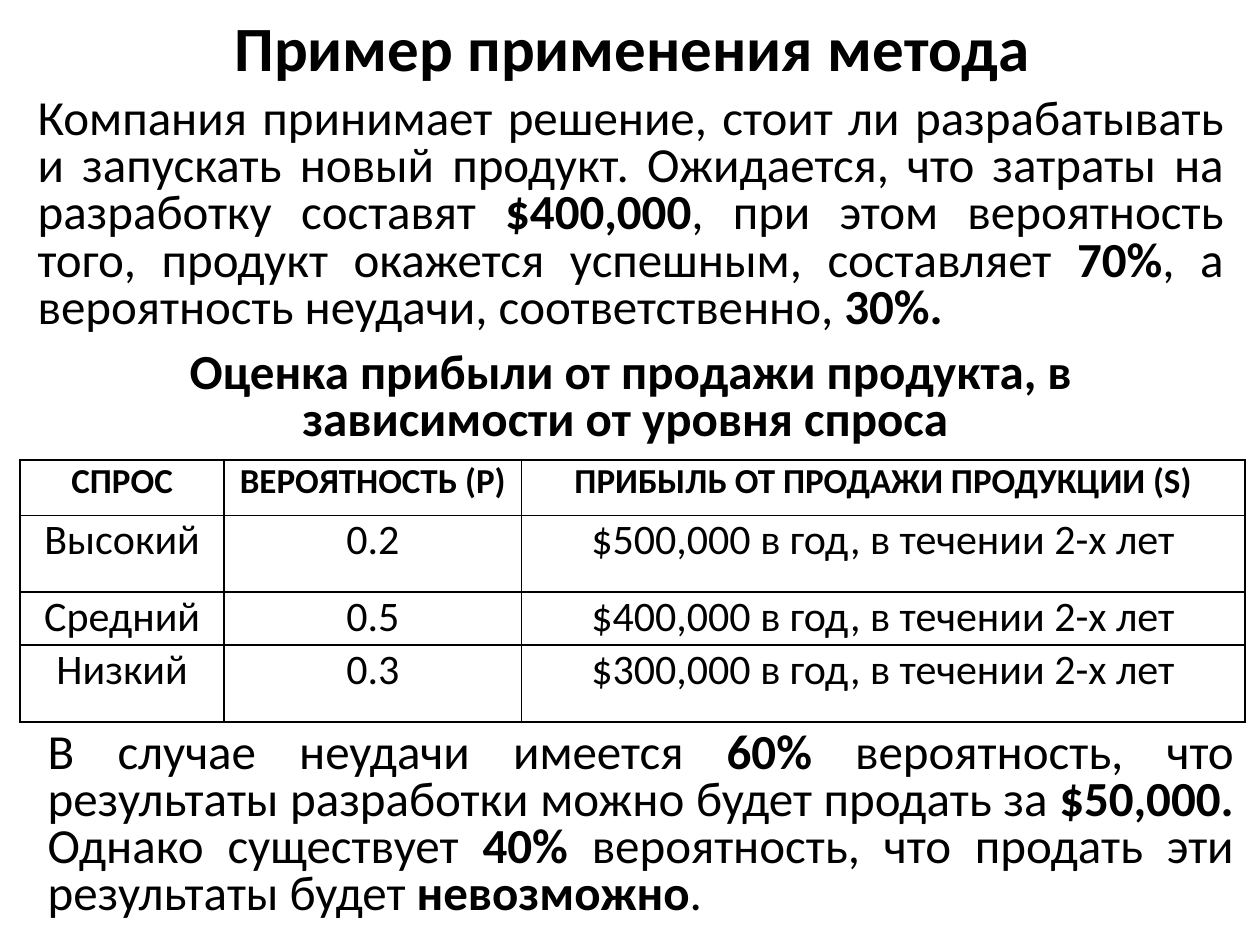
import dataclasses

import lxml.etree
import pptx
import pptx.dml.color
import pptx.enum.text
import pptx.oxml.ns
import pptx.util

Inches = pptx.util.Inches
ALIGN = pptx.enum.text.PP_ALIGN
ANCHOR = pptx.enum.text.MSO_ANCHOR
COLORS = {"text": "000000", "border": "000000"}
FONT = "Calibri"


@dataclasses.dataclass(frozen=True)
class Passage:
    text: str
    left: float
    top: float
    width: float
    height: float
    align: ALIGN = ALIGN.JUSTIFY


@dataclasses.dataclass(frozen=True)
class DemandLevel:
    demand: str
    probability: str
    profit: str
    height: float
    size: int = 24
    bold: bool = False


PASSAGES = [
    Passage(
        "Компания принимает решение, стоит ли разрабатывать и запускать новый продукт. "
        "Ожидается, что затраты на разработку составят **$400,000**, при этом вероятность "
        "того, продукт окажется успешным, составляет **70%**, а вероятность неудачи, "
        "соответственно, **30%. **",
        0.2, 0.73, 9.61, 2,
    ),
    Passage(
        "**Оценка прибыли от продажи продукта, в зависимости от уровня спроса **",
        0.79, 2.74, 8.43, 0.86, ALIGN.CENTER,
    ),
    Passage(
        "В случае неудачи имеется **60% **вероятность, что результаты разработки можно "
        "будет продать за **$50,000. **Однако существует **40% **вероятность, что продать "
        "эти результаты будет **невозможно**.",
        0.28, 5.76, 9.61, 1.62,
    ),
]

COLUMN_WIDTHS = [1.62, 2.36, 5.74]
DEMAND_LEVELS = [
    DemandLevel("СПРОС", "ВЕРОЯТНОСТЬ (Р)", "ПРИБЫЛЬ ОТ ПРОДАЖИ ПРОДУКЦИИ (S)", 0.44, 20, True),
    DemandLevel("Высокий", "0.2", "$500,000 в год, в течении 2-х лет", 0.61),
    DemandLevel("Средний", "0.5", "$400,000 в год, в течении 2-х лет", 0.4),
    DemandLevel("Низкий", "0.3", "$300,000 в год, в течении 2-х лет", 0.61),
]


def write_text(frame, text: str, *, size: int, align: ALIGN = ALIGN.CENTER,
               bold: bool = False, spacing: float = 0.8) -> None:
    frame.word_wrap = True
    paragraph = frame.paragraphs[0]
    paragraph.alignment = align
    paragraph.line_spacing = spacing
    for index, part in enumerate(text.split("**")):
        if not part:
            continue
        run = paragraph.add_run()
        run.text = part
        run.font.name = FONT
        run.font.size = pptx.util.Pt(size)
        run.font.bold = bold or index % 2 == 1
        run.font.color.rgb = pptx.dml.color.RGBColor.from_string(COLORS["text"])


def add_title(slide, text: str) -> None:
    title = slide.shapes.title
    title.left, title.top = Inches(0.43), Inches(0.02)
    title.width, title.height = Inches(9.29), Inches(0.71)
    title.text_frame.auto_size = pptx.enum.text.MSO_AUTO_SIZE.NONE
    title.text_frame.vertical_anchor = ANCHOR.TOP
    write_text(title.text_frame, text, size=36, bold=True, spacing=1.0)


def add_passage(slide, passage: Passage) -> None:
    box = slide.shapes.add_textbox(Inches(passage.left), Inches(passage.top),
                                   Inches(passage.width), Inches(passage.height))
    write_text(box.text_frame, passage.text, size=28, align=passage.align)


def outline_cell(cell) -> None:
    properties = cell._tc.get_or_add_tcPr()
    qn = pptx.oxml.ns.qn
    for position, side in enumerate(("a:lnL", "a:lnR", "a:lnT", "a:lnB")):
        line = lxml.etree.Element(qn(side), w=str(pptx.util.Pt(1)))
        fill = lxml.etree.SubElement(line, qn("a:solidFill"))
        lxml.etree.SubElement(fill, qn("a:srgbClr"), val=COLORS["border"])
        properties.insert(position, line)


def add_demand_table(slide, levels: list[DemandLevel]) -> None:
    table = slide.shapes.add_table(
        len(levels), len(COLUMN_WIDTHS), Inches(0.16), Inches(3.65),
        Inches(sum(COLUMN_WIDTHS)), Inches(sum(level.height for level in levels)),
    ).table
    table.first_row = False
    table.horz_banding = False
    for column, width in zip(table.columns, COLUMN_WIDTHS):
        column.width = Inches(width)
    for row, level in zip(table.rows, levels):
        row.height = Inches(level.height)
        for cell, text in zip(row.cells, (level.demand, level.probability, level.profit)):
            cell.fill.background()
            outline_cell(cell)
            write_text(cell.text_frame, text, size=level.size, bold=level.bold)


def main() -> None:
    presentation = pptx.Presentation()
    presentation.slide_width, presentation.slide_height = Inches(10), Inches(7.5)
    slide = presentation.slides.add_slide(presentation.slide_layouts.get_by_name("Title Only"))
    add_title(slide, "Пример применения метода ")
    for passage in PASSAGES:
        add_passage(slide, passage)
    add_demand_table(slide, DEMAND_LEVELS)
    presentation.save("out.pptx")


if __name__ == "__main__":
    main()
